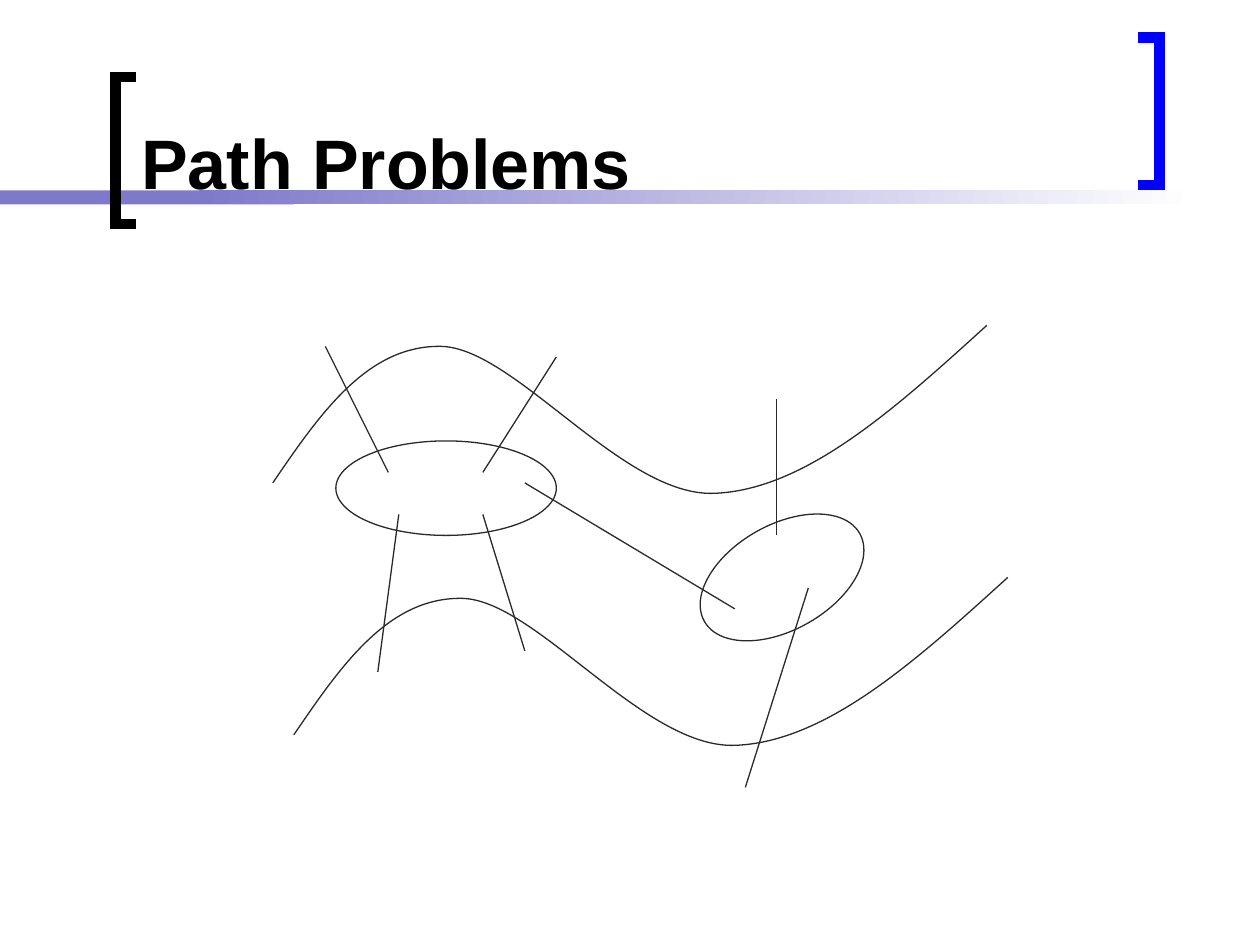
from lxml import etree
from pptx import Presentation
from pptx.dml.color import RGBColor
from pptx.enum import shapes as kinds, text as modes
from pptx.oxml.ns import qn
from pptx.util import Cm, Pt

BLACK, BLUE, LAVENDER, WHITE, INK = "000000", "0000FF", "7F79CB", "FFFFFF", "292929"
GRID = 2.54 / 12  # the diagram is drawn on a grid of twelfths of an inch

WAVE = [(0, 15), (4.5, 8.4), (9, 1.9), (16, 2), (23, 2.1),
        (33.3, 16.3), (42, 16), (50.7, 15.7), (59.3, 7.9), (68, 0)]
WAVE_ORIGINS = [(0, 0), (2, 24)]
ELLIPSES = [(6, 11, 21, 9, 0), (40, 19, 17, 10, 330.5)]
PATHS = [((11, 14), (5, 2)), ((20, 14), (27, 3)), ((12, 18), (10, 33)),
         ((20, 18), (24, 31)), ((24, 15), (44, 27)), ((48, 20), (48, 7)),
         ((51, 25), (45, 44))]


def color(value):
    return RGBColor.from_string(value)


def set_line(shape, value, width):
    shape.line.color.rgb = color(value)
    shape.line.width = Pt(width)


def add_outline(page, points, value, width):
    """Draw an open, unfilled outline through points given in cm."""
    (start_x, start_y), *rest = [(Cm(x), Cm(y)) for x, y in points]
    builder = page.shapes.build_freeform(start_x, start_y)
    builder.add_line_segments(rest, close=False)
    outline = builder.convert_to_shape()
    outline.shadow.inherit = False
    outline.fill.background()
    set_line(outline, value, width)
    return outline


def bend(outline):
    """Turn each three line segments into one cubic Bezier segment."""
    segments = list(outline._element.iter(qn("a:lnTo")))
    for first, second, third in zip(*[iter(segments)] * 3):
        curve = etree.Element(qn("a:cubicBezTo"))
        first.addprevious(curve)
        for segment in (first, second, third):
            curve.append(segment[0])
            segment.getparent().remove(segment)


def add_bracket(page, left, top, width, height, value, opens_right):
    spine, tips = (left, left + width) if opens_right else (left + width, left)
    points = [(tips, top), (spine, top), (spine, top + height), (tips, top + height)]
    bracket = add_outline(page, points, value, 6)
    etree.SubElement(bracket.line._get_or_add_ln(), qn("a:miter"), lim="800000")


def add_band(page, left, top, width, height):
    """Draw a solid bar that fades to white towards the right."""
    solid_width, fade_start = 5.92, 4.02
    bars = [page.shapes.add_shape(kinds.MSO_SHAPE.RECTANGLE,
                                  Cm(x), Cm(top), Cm(w), Cm(height))
            for x, w in [(left, solid_width), (left + fade_start, width - fade_start)]]
    for bar in bars:
        bar.shadow.inherit = False
        bar.line.fill.background()
    solid, fade = (bar.fill for bar in bars)
    solid.solid()
    solid.fore_color.rgb = color(LAVENDER)
    fade.gradient()
    fade.gradient_angle = 180
    for stop, value in zip(fade.gradient_stops, (WHITE, LAVENDER)):
        stop.color.rgb = color(value)


def add_title(page, left, top, width, height, wording):
    box = page.shapes.add_textbox(Cm(left), Cm(top), Cm(width), Cm(height))
    frame = box.text_frame
    frame.word_wrap = True
    frame.vertical_anchor = modes.MSO_ANCHOR.BOTTOM
    frame.text = wording
    font = frame.paragraphs[0].runs[0].font
    font.name, font.size, font.bold = "Arial", Pt(40), True
    font.color.rgb = color(BLACK)


def add_header(page, left, top, width):
    add_band(page, left, top + 3.84, width, 0.28)
    add_bracket(page, left + 2.33, top + 1.55, 0.42, 2.97, BLACK, True)
    add_bracket(page, left + 22.95, top + 0.76, 0.42, 2.97, BLUE, False)
    add_title(page, left + 2.6, top + 0.28, 19.9, 3.94, "Path Problems")


def add_diagram(page, left, top):
    def place(x, y):
        return left + x * GRID, top + y * GRID

    for dx, dy in WAVE_ORIGINS:
        bend(add_outline(page, [place(x + dx, y + dy) for x, y in WAVE], INK, 0.75))

    for x, y, width, height, rotation in ELLIPSES:
        corner = map(Cm, place(x, y))
        ellipse = page.shapes.add_shape(kinds.MSO_SHAPE.OVAL, *corner,
                                        Cm(width * GRID), Cm(height * GRID))
        ellipse.rotation = rotation
        ellipse.shadow.inherit = False
        ellipse.fill.background()
        set_line(ellipse, INK, 0.75)

    for start, end in PATHS:
        ends = map(Cm, place(*start) + place(*end))
        path_line = page.shapes.add_connector(kinds.MSO_CONNECTOR.STRAIGHT, *ends)
        set_line(path_line, INK, 0.75)
        etree.SubElement(path_line._element.spPr, qn("a:effectLst"))


def main():
    deck = Presentation()
    deck.slide_width, deck.slide_height = Cm(25.4), Cm(19.05)
    page = deck.slides.add_slide(deck.slide_layouts[6])
    add_header(page, 0, 0, 24.13)
    add_diagram(page, 5.5, 6.56)
    deck.save("out.pptx")


if __name__ == "__main__":
    main()
